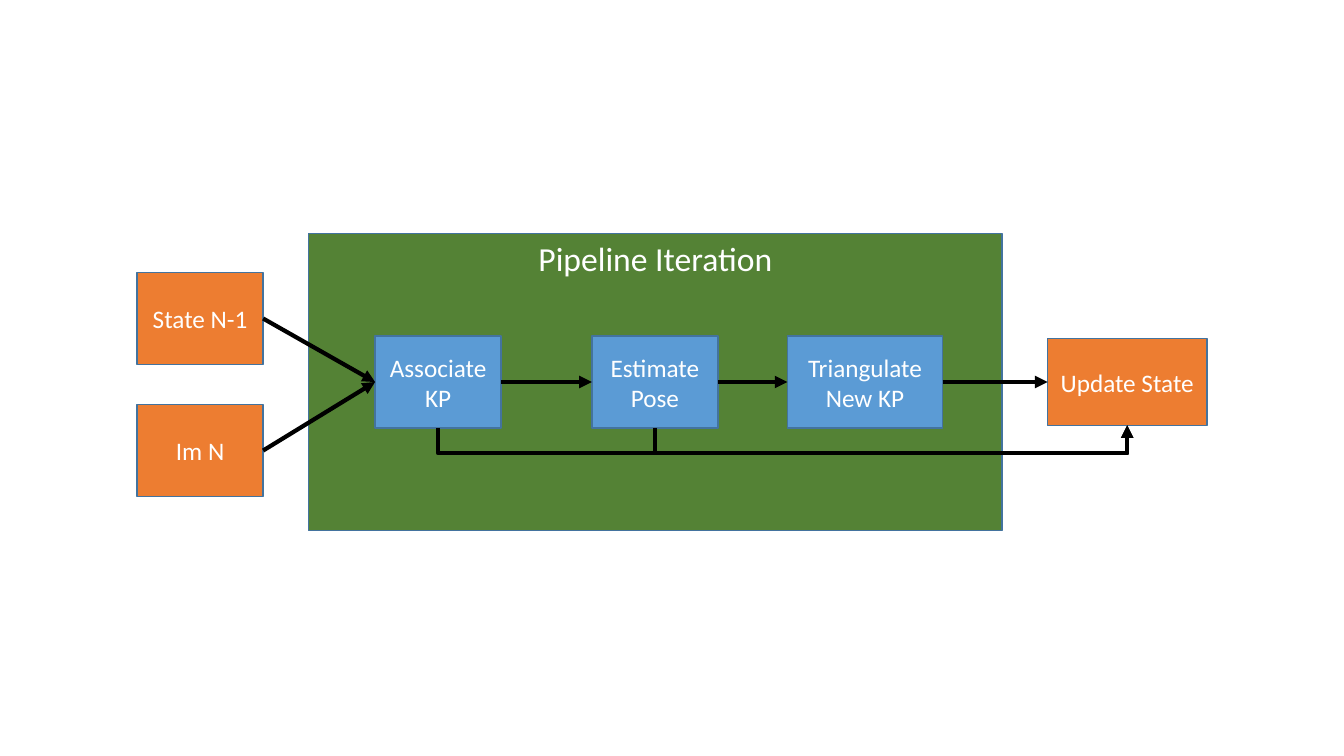
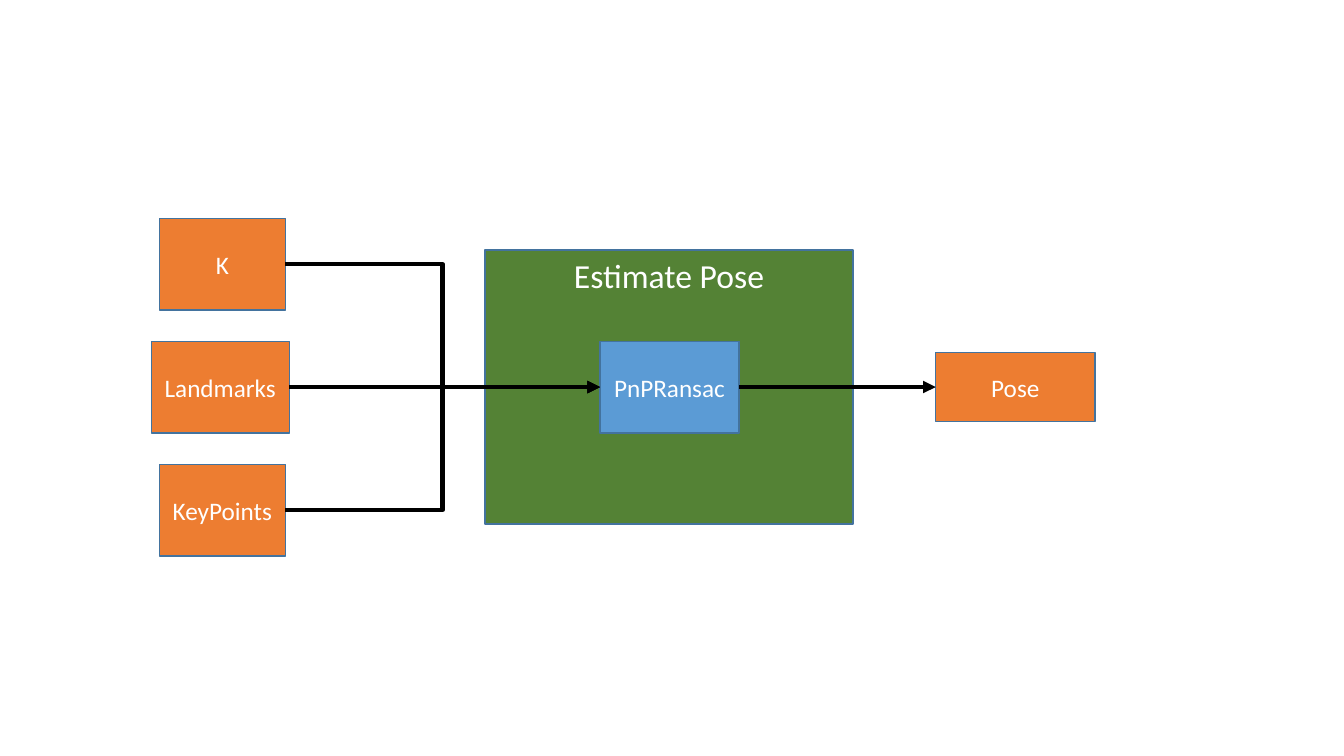
"""Build two block diagrams: the pipeline iteration and the pose estimation."""
from dataclasses import dataclass

import lxml.etree
import pptx
import pptx.dml.color
import pptx.enum.shapes
import pptx.enum.text
import pptx.oxml.ns
import pptx.util
from pptx.util import Inches

FONT = "Calibri"
ORANGE, BLUE, GREEN = "ED7D31", "5B9BD5", "548235"
BORDER, BLACK, WHITE = "43739E", "000000", "FFFFFF"
TOP, LEFT, BOTTOM, RIGHT = range(4)  # connection sites of a rectangle
STRAIGHT = pptx.enum.shapes.MSO_CONNECTOR.STRAIGHT
ELBOW = pptx.enum.shapes.MSO_CONNECTOR.ELBOW
BLANK_LAYOUT = 6


@dataclass
class Box:
    """A labelled block, placed by its left edge and vertical middle in inches."""
    label: str
    left: float
    mid: float
    width: float = 1.25
    height: float = 0.91
    fill: str = ORANGE


@dataclass
class Panel(Box):
    """A large backdrop with its heading at the top."""
    fill: str = GREEN


def rgb(value: str) -> pptx.dml.color.RGBColor:
    """Turn a hex string into a colour."""
    return pptx.dml.color.RGBColor.from_string(value)


def add_box(slide, box: Box):
    """Draw a block or panel and return its shape."""
    is_panel = isinstance(box, Panel)
    sp = slide.shapes.add_shape(
        pptx.enum.shapes.MSO_SHAPE.RECTANGLE,
        Inches(box.left), Inches(box.mid - box.height / 2),
        Inches(box.width), Inches(box.height))
    sp.shadow.inherit = False
    sp.fill.solid()
    sp.fill.fore_color.rgb = rgb(box.fill)
    sp.line.color.rgb = rgb(BORDER)
    sp.line.width = pptx.util.Pt(1)
    tf = sp.text_frame
    tf.word_wrap = True
    anchors = pptx.enum.text.MSO_ANCHOR
    tf.vertical_anchor = anchors.TOP if is_panel else anchors.MIDDLE
    p = tf.paragraphs[0]
    p.text = box.label
    p.alignment = pptx.enum.text.PP_ALIGN.CENTER
    p.font.name = FONT
    p.font.size = pptx.util.Pt(24 if is_panel else 18)
    p.font.color.rgb = rgb(WHITE)
    return sp


def add_boxes(slide, boxes: list[Box]) -> dict:
    """Draw all boxes and return their shapes by label."""
    return {box.label: add_box(slide, box) for box in boxes}


def add_arrow(slide, start, end, kind=STRAIGHT, start_site: int = RIGHT,
              end_site: int = LEFT):
    """Join two shapes with a black arrow and return the connector."""
    line = slide.shapes.add_connector(kind, 0, 0, 0, 0)
    line.begin_connect(start, start_site)
    line.end_connect(end, end_site)
    line.line.color.rgb = rgb(BLACK)
    line.line.width = pptx.util.Pt(3)
    qn = pptx.oxml.ns.qn
    ln = line.line._get_or_add_ln()
    lxml.etree.SubElement(ln, qn("a:tailEnd"), type="triangle")
    lxml.etree.SubElement(line._element.spPr, qn("a:effectLst"))
    return line


def add_return_arrow(slide, start, end, drop: float) -> None:
    """Run an arrow below two shapes, from bottom to bottom, by a drop in inches."""
    line = add_arrow(slide, start, end, ELBOW, BOTTOM, BOTTOM)
    span, rise = line.end_x - line.begin_x, line.begin_y - line.end_y
    center_x = (line.begin_x + line.end_x) // 2
    center_y = (line.begin_y + line.end_y) // 2
    line.left, line.top = center_x - rise // 2, center_y - span // 2
    line.width, line.height = rise, span
    qn = pptx.oxml.ns.qn
    xfrm = line._element.spPr.find(qn("a:xfrm"))
    for name, value in (("rot", "5400000"), ("flipH", "1"), ("flipV", "1")):
        xfrm.set(name, value)
    geometry = line._element.spPr.find(qn("a:prstGeom"))
    guides = geometry.find(qn("a:avLst"))
    if guides is None:
        guides = lxml.etree.SubElement(geometry, qn("a:avLst"))
    bend = round(-Inches(drop) / rise * 100000)
    lxml.etree.SubElement(guides, qn("a:gd"), name="adj1", fmla=f"val {bend}")


def build_pipeline(prs) -> None:
    """Draw the pipeline iteration slide."""
    slide = prs.slides.add_slide(prs.slide_layouts[BLANK_LAYOUT])
    mid = 3.79
    shapes = add_boxes(slide, [
        Panel("Pipeline Iteration", 3.06, mid, 6.88, 2.95),
        Box("State N-1", 1.36, 3.16),
        Box("Im N", 1.36, 4.47),
        Box("Associate KP", 3.72, mid, fill=BLUE),
        Box("Estimate Pose", 5.87, mid, fill=BLUE),
        Box("Triangulate New KP", 7.81, mid, 1.54, fill=BLUE),
        Box("Update State", 10.39, mid, 1.58, 0.86),
    ])
    _, state, image, associate, estimate, triangulate, update = shapes.values()
    for source in (state, image):
        add_arrow(slide, source, associate)
    steps = [associate, estimate, triangulate, update]
    for source, target in zip(steps, steps[1:]):
        add_arrow(slide, source, target)
    for source in (estimate, associate):
        add_return_arrow(slide, source, update, drop=0.25)


def build_pose(prs) -> None:
    """Draw the pose estimation slide."""
    slide = prs.slides.add_slide(prs.slide_layouts[BLANK_LAYOUT])
    mid, step = 3.84, 1.22
    shapes = add_boxes(slide, [
        Panel("Estimate Pose", 4.81, mid, 3.65, 2.72),
        Box("K", 1.58, mid - step),
        Box("Landmarks", 1.5, mid, 1.37),
        Box("KeyPoints", 1.58, mid + step),
        Box("PnPRansac", 5.95, mid, 1.38, fill=BLUE),
        Box("Pose", 9.28, mid, 1.58, 0.68),
    ])
    _, intrinsics, landmarks, keypoints, ransac, pose = shapes.values()
    for source in (intrinsics, keypoints):
        add_arrow(slide, source, ransac, ELBOW)
    add_arrow(slide, landmarks, ransac)
    add_arrow(slide, ransac, pose)


def main() -> None:
    """Build and save the presentation."""
    prs = pptx.Presentation()
    prs.slide_width, prs.slide_height = Inches(13.33), Inches(7.5)
    build_pipeline(prs)
    build_pose(prs)
    prs.save("out.pptx")


main()
